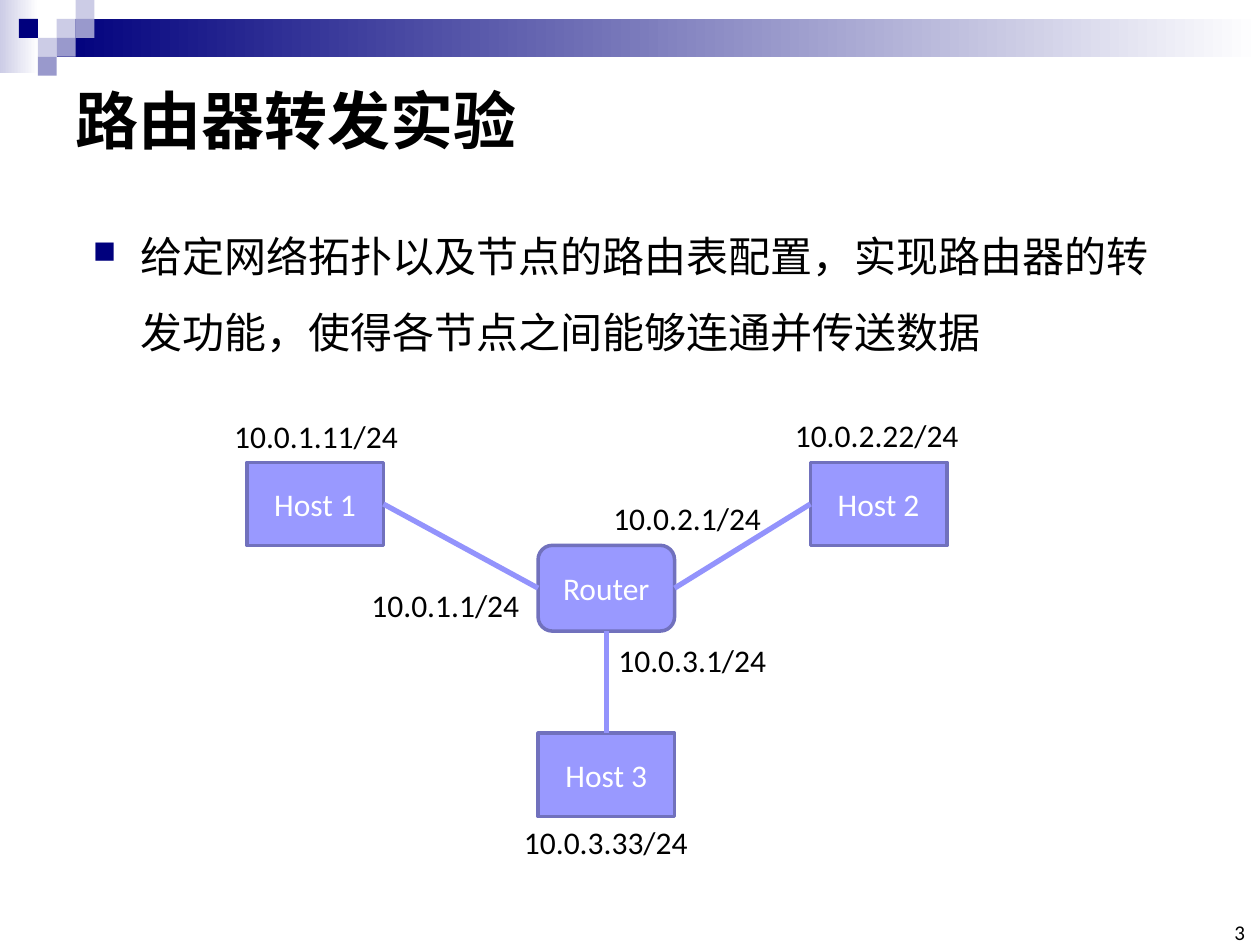
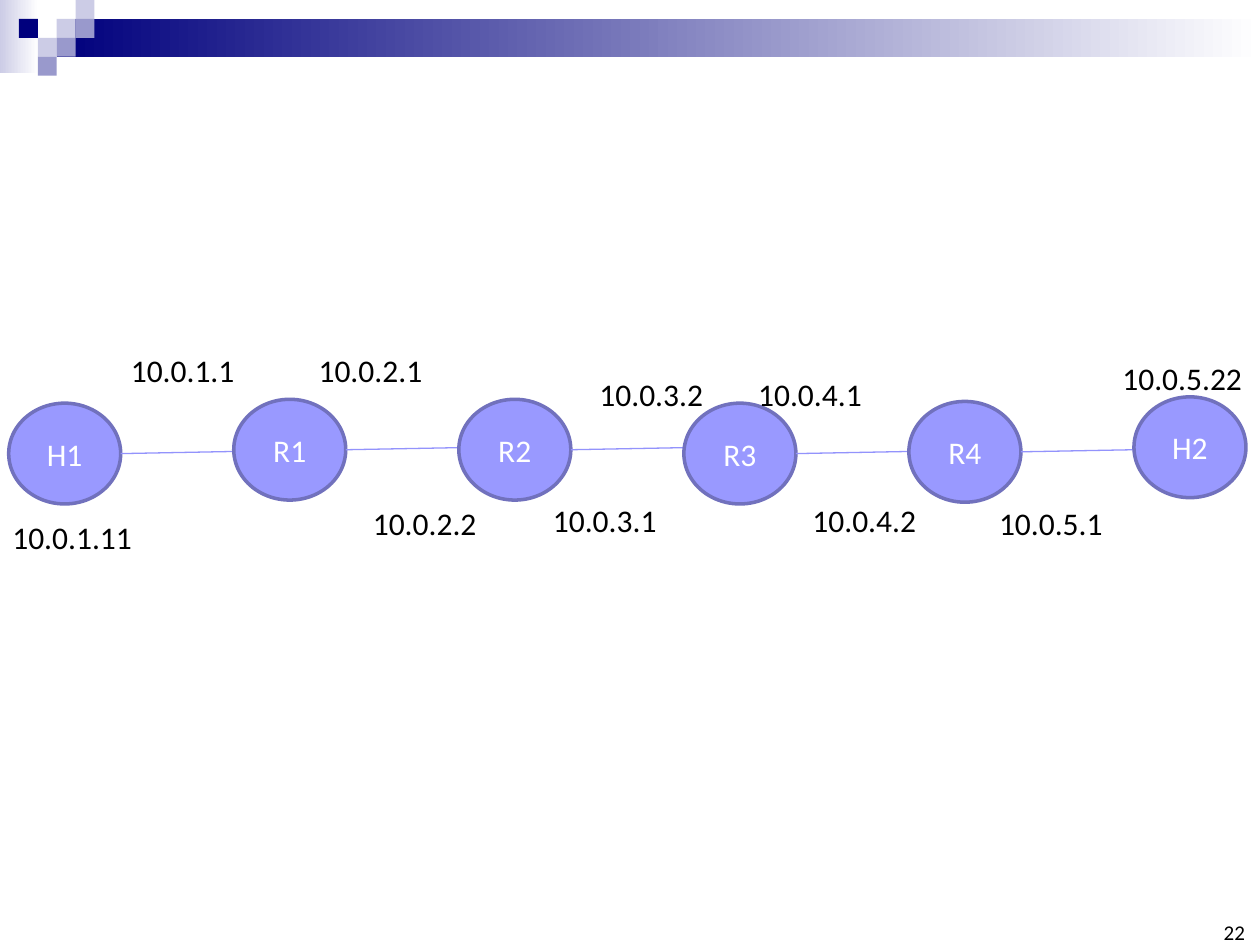
import collections

import lxml.etree
import pptx
import pptx.dml.color
import pptx.enum.shapes
import pptx.enum.text
import pptx.oxml.ns
import pptx.util

Pt = pptx.util.Pt
SHAPE = pptx.enum.shapes.MSO_SHAPE
ANCHOR = pptx.enum.text.MSO_ANCHOR
ALIGN = pptx.enum.text.PP_ALIGN
FIT = pptx.enum.text.MSO_AUTO_SIZE

NAVY, LILAC, MIST, WHITE, BLACK = "00007D", "9999CC", "CCCCE6", "FFFFFF", "000000"
NODE_FILL, NODE_EDGE, LINK = "9999FF", "7171BD", "9393FC"
TOP, LEFT, BOTTOM, RIGHT = range(4)

Box = collections.namedtuple("Box", "left top width height")


def inside(box, left, top, width, height):
    """Return a box whose corner is an offset from another box."""
    return Box(box.left + left, box.top + top, width, height)


def rgb(code):
    """Turn a hex string into a colour."""
    return pptx.dml.color.RGBColor.from_string(code)


def assign(target, values):
    """Set each attribute named in a dict."""
    for name, value in values.items():
        setattr(target, name, value)


def write(frame, text, size=18, color=BLACK, bold=False, frame_format=None, para_format=None):
    """Fill a text frame with one formatted paragraph and return it."""
    assign(frame, frame_format or {})
    para = frame.paragraphs[0]
    assign(para, para_format or {})
    span = para.add_run()
    span.text = text
    assign(span.font, {"name": "Calibri", "size": Pt(size), "bold": bold})
    span.font.color.rgb = rgb(color)
    return para


def add_text(page, box, text, **formats):
    """Add a text box and return its paragraph."""
    shape = page.shapes.add_textbox(*map(Pt, box))
    return write(shape.text_frame, text, **formats)


def add_label(page, box, text, wrap):
    """Add an address label that grows with its text."""
    add_text(page, box, text, frame_format={"word_wrap": wrap, "auto_size": FIT.SHAPE_TO_FIT_TEXT})


def add_block(page, box, colors, kind=SHAPE.RECTANGLE):
    """Add a shape with no outline in one colour or a gradient of two."""
    shape = page.shapes.add_shape(kind, *map(Pt, box))
    shape.shadow.inherit = False
    shape.line.fill.background()
    if len(colors) == 1:
        shape.fill.solid()
        shape.fill.fore_color.rgb = rgb(colors[0])
    else:
        shape.fill.gradient()
        shape.fill.gradient_angle = 0
        for stop, color in zip(shape.fill.gradient_stops, colors):
            stop.color.rgb = rgb(color)
    return shape


def add_node(page, box, name, kind):
    """Add a named network node."""
    shape = add_block(page, box, [NODE_FILL], kind)
    shape.line.color.rgb = rgb(NODE_EDGE)
    shape.line.width = Pt(2)
    write(shape.text_frame, name, color=WHITE,
          frame_format={"vertical_anchor": ANCHOR.MIDDLE, "word_wrap": True},
          para_format={"alignment": ALIGN.CENTER})
    return shape


def add_link(page, start, end, width):
    """Add a straight line between two points."""
    line = page.shapes.add_connector(pptx.enum.shapes.MSO_CONNECTOR.STRAIGHT, *map(Pt, start + end))
    line.line.color.rgb = rgb(LINK)
    line.line.width = Pt(width)
    properties = line._element.find(pptx.oxml.ns.qn("p:spPr"))
    lxml.etree.SubElement(properties, pptx.oxml.ns.qn("a:effectLst"))
    return line


def draw_header(page, box):
    """Draw the gradient bands and the mosaic of squares."""
    side = 10.8
    add_block(page, inside(box, 0, 0, 22, 42), [MIST, WHITE])
    add_block(page, inside(box, 3 * side, side, box.width - 3 * side, 2 * side), [NAVY, WHITE])
    mosaic = [(3, 1, MIST), (4, 0, MIST), (4, 1, LILAC), (2, 2, MIST),
              (1, 1, NAVY), (3, 2, LILAC), (2, 3, LILAC)]
    for column, row, color in mosaic:
        add_block(page, inside(box, column * side, row * side, side, side), [color])


def draw_page_number(page, box, number):
    """Write the page number at the lower right of its box."""
    margins = dict.fromkeys(["margin_left", "margin_top", "margin_right", "margin_bottom"], 0)
    add_text(page, box, str(number), size=12,
             frame_format={**margins, "vertical_anchor": ANCHOR.BOTTOM, "word_wrap": True},
             para_format={"alignment": ALIGN.RIGHT})


def draw_title(page, box, text):
    """Place and format the title placeholder."""
    title = page.shapes.title
    assign(title, {name: Pt(value) for name, value in box._asdict().items()})
    write(title.text_frame, text, size=36, bold=True,
          frame_format={"vertical_anchor": ANCHOR.MIDDLE, "word_wrap": True},
          para_format={"alignment": ALIGN.LEFT})


def draw_bullet(page, box, text):
    """Write one paragraph with a square bullet."""
    para = add_text(page, box, text, size=24, frame_format={"word_wrap": True},
                    para_format={"line_spacing": 1.5})
    properties = para._p.get_or_add_pPr()
    properties.set("marL", str(Pt(27)))
    properties.set("indent", str(-Pt(27)))
    color = lxml.etree.SubElement(properties, pptx.oxml.ns.qn("a:buClr"))
    lxml.etree.SubElement(color, pptx.oxml.ns.qn("a:srgbClr"), val=NAVY)
    lxml.etree.SubElement(properties, pptx.oxml.ns.qn("a:buSzPct"), val="75000")
    lxml.etree.SubElement(properties, pptx.oxml.ns.qn("a:buChar"), char="■")


def draw_star(page, box):
    """Draw three hosts joined to one router."""
    width, height = 78, 47.6
    places = {"Host 1": (14.4, 30.2), "Host 2": (336.4, 30.2),
              "Host 3": (180.8, 185), "Router": (180.8, 77.6)}
    nodes = {}
    for name, (left, top) in places.items():
        kind = SHAPE.ROUNDED_RECTANGLE if name == "Router" else SHAPE.RECTANGLE
        tall = 49 if name == "Router" else height
        nodes[name] = add_node(page, inside(box, left, top, width, tall), name, kind)
    links = [("Host 1", RIGHT, "Router", LEFT), ("Router", RIGHT, "Host 2", LEFT),
             ("Router", BOTTOM, "Host 3", TOP)]
    for first, first_side, second, second_side in links:
        line = add_link(page, (0, 0), (0, 0), 3)
        line.begin_connect(nodes[first], first_side)
        line.end_connect(nodes[second], second_side)
    labels = [("10.0.1.11/24", 0, 0.8, 108.7), ("10.0.2.22/24", 320.4, 0.4, 108.7),
              ("10.0.3.33/24", 165.6, 232.6, 108.7), ("10.0.1.1/24", 78.5, 97.2, 100),
              ("10.0.2.1/24", 216.7, 47.5, 100), ("10.0.3.1/24", 219.6, 128.9, 100)]
    for text, left, top, wide in labels:
        add_label(page, inside(box, left, top, wide, 28.8), text, False)


def draw_chain(page, box):
    """Draw two hosts joined through a row of four routers."""
    width, height, indent = 64, 57.6, 5
    step = (box.width - width - 2 * indent) / 5
    rise = 1.2
    tops = {"H1": 33.1, "R1": 30.9, "R2": 30.9, "R3": 33.1, "R4": 32.1, "H2": 29.5}
    for index, (name, top) in enumerate(tops.items()):
        place = inside(box, indent + index * step, top, width, height)
        add_node(page, place, name, SHAPE.OVAL)
        if name != "H2":
            middle = place.top + height / 2
            add_link(page, (place.left + width, middle), (place.left + step, middle - rise), 0.75)
    labels = [("10.0.1.11", 0, 95), ("10.0.1.1", 67.7, 0), ("10.0.2.1", 175, 0),
              ("10.0.2.2", 206, 87.1), ("10.0.3.1", 308.9, 85.7), ("10.0.3.2", 335.5, 13.7),
              ("10.0.4.1", 426.2, 13.7), ("10.0.4.2", 457.2, 85.7), ("10.0.5.1", 563.8, 87.1),
              ("10.0.5.22", 634.3, 4.3)]
    for text, left, top in labels:
        add_label(page, inside(box, left, top, 90.7, 29.5), text, True)


def add_page(deck, layout, number):
    """Add a page with the shared header and page number."""
    page = deck.slides.add_slide(deck.slide_layouts.get_by_name(layout))
    draw_header(page, Box(0, 0, 720, 43.2))
    draw_page_number(page, Box(694.8, 527.8, 16.6, 12.2), number)
    return page


def main():
    """Build and save the deck."""
    deck = pptx.Presentation()
    assign(deck, {"slide_width": Pt(720), "slide_height": Pt(540)})

    star = add_page(deck, "Title Only", 3)
    draw_title(star, Box(36, 36, 648, 64), "路由器转发实验")
    draw_bullet(star, Box(46, 113.8, 620.6, 113.8),
                "给定网络拓扑以及节点的路由表配置，实现路由器的转发功能，使得各节点之间能够连通并传送数据")
    draw_star(star, Box(126.7, 234, 429, 262))

    chain = add_page(deck, "Blank", 22)
    draw_chain(chain, Box(0, 197.3, 717, 125))

    deck.save("out.pptx")


main()
